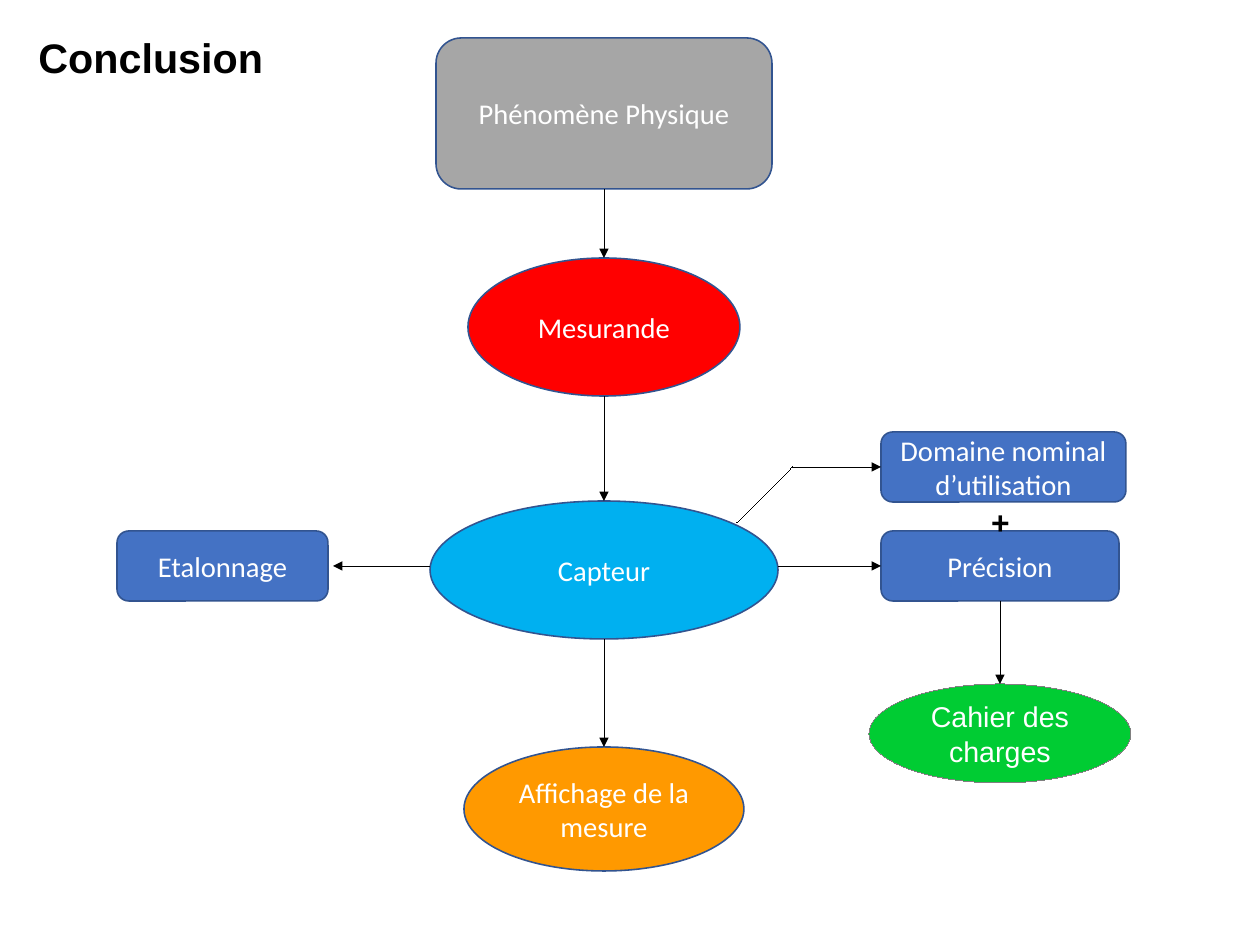
"""Build the conclusion slide: measurement chain from phenomenon to display."""
import pptx
import pptx.util
import pptx.dml.color
import pptx.enum.shapes
import pptx.enum.text
import pptx.oxml.ns
import lxml.etree

PX = 8000
THEME = {
    "black": "000000", "white": "FFFFFF", "edge": "325490", "grey_edge": "808080",
    "grey": "A6A6A6", "red": "FF0000", "sky": "00B0F0", "orange": "FF9900",
    "blue": "4472C4", "green": "00CC33",
    "head": "Arial", "body": "Calibri",
    "title_size": 26, "plus_size": 20, "node_size": 18,
}
ROUND = pptx.enum.shapes.MSO_SHAPE.ROUNDED_RECTANGLE
OVAL = pptx.enum.shapes.MSO_SHAPE.OVAL
ANCHOR = pptx.enum.text.MSO_ANCHOR
ALIGN = pptx.enum.text.PP_ALIGN
TOP, LEFT, BOTTOM = 0, 1, 2


def rgb(name):
    """Return a theme colour."""
    return pptx.dml.color.RGBColor.from_string(THEME[name])


def write(p, text, font, size, color, bold=False):
    """Add one formatted run to a paragraph."""
    r = p.add_run()
    r.text = text
    r.font.name = THEME[font]
    r.font.size = pptx.util.Pt(THEME[size])
    r.font.bold = bold
    r.font.color.rgb = rgb(color)


prs = pptx.Presentation()
prs.slide_width = 1260 * PX
prs.slide_height = 945 * PX
s = prs.slides.add_slide(prs.slide_layouts[5])

title = s.shapes.title
title.left, title.top, title.width, title.height = (v * PX for v in (27, 27, 522, 58))
title.text_frame.vertical_anchor = ANCHOR.TOP
title.text_frame.auto_size = pptx.enum.text.MSO_AUTO_SIZE.NONE
p = title.text_frame.paragraphs[0]
p.alignment = ALIGN.LEFT
write(p, "Conclusion", "head", "title_size", "black", True)

nodes = [
    ("phenomene", ROUND, (436, 38, 336, 151), "grey", "edge", "body", ["Phénomène Physique"]),
    ("mesurande", OVAL, (468, 258, 272, 138), "red", "edge", "body", ["Mesurande"]),
    ("capteur", OVAL, (430, 501, 348, 138), "sky", "edge", "body", ["Capteur"]),
    ("affichage", OVAL, (464, 747, 280, 124), "orange", "edge", "body", ["Affichage de la mesure"]),
    ("etalonnage", ROUND, (117, 531, 211, 70), "blue", "edge", "body", ["Etalonnage"]),
    ("precision", ROUND, (881, 531, 238, 70), "blue", "edge", "body", ["Précision"]),
    ("domaine", ROUND, (881, 432, 245, 70), "blue", "edge", "body", ["Domaine nominal d’utilisation"]),
    ("cahier", OVAL, (869, 684, 262, 99), "green", "grey_edge", "head", ["Cahier des", "charges"]),
]
shapes = {}
for key, kind, box, fill, edge, font, lines in nodes:
    sp = s.shapes.add_shape(kind, *(v * PX for v in box))
    sp.shadow.inherit = False
    sp.fill.solid()
    sp.fill.fore_color.rgb = rgb(fill)
    sp.line.color.rgb = rgb(edge)
    sp.line.width = pptx.util.Pt(1)
    tf = sp.text_frame
    tf.word_wrap = True
    tf.vertical_anchor = ANCHOR.MIDDLE
    for i, line in enumerate(lines):
        p = tf.add_paragraph() if i else tf.paragraphs[0]
        p.alignment = ALIGN.CENTER
        write(p, line, font, "node_size", "white")
    shapes[key] = sp
shapes["cahier"].line._get_or_add_ln().set("w", "0")

links = [
    ((604, 189), (604, 258), ("phenomene", BOTTOM), ("mesurande", TOP), True),
    ((604, 396), (604, 501), None, ("capteur", TOP), True),
    ((604, 639), (604, 747), None, ("affichage", TOP), True),
    ((430, 566), (333, 566), None, None, True),
    ((737, 523), (792, 467), None, None, False),
    ((792, 467), (881, 467), None, ("domaine", LEFT), True),
    ((778, 566), (881, 566), None, ("precision", LEFT), True),
    ((1000, 601), (1000, 684), ("precision", BOTTOM), ("cahier", TOP), True),
]
for start, end, source, target, arrow in links:
    cx = s.shapes.add_connector(pptx.enum.shapes.MSO_CONNECTOR.STRAIGHT,
                                *(v * PX for v in start + end))
    if source:
        cx.begin_connect(shapes[source[0]], source[1])
    if target:
        cx.end_connect(shapes[target[0]], target[1])
    cx.line.color.rgb = rgb("black")
    ln = cx.line._get_or_add_ln()
    ln.set("w", "0")
    if arrow:
        lxml.etree.SubElement(ln, pptx.oxml.ns.qn("a:tailEnd"), type="triangle")
    lxml.etree.SubElement(cx._element.spPr, pptx.oxml.ns.qn("a:effectLst"))

plus = s.shapes.add_textbox(*(v * PX for v in (980, 497, 45, 48)))
plus.text_frame.word_wrap = True
write(plus.text_frame.paragraphs[0], "+", "head", "plus_size", "black", True)

prs.save("out.pptx")
